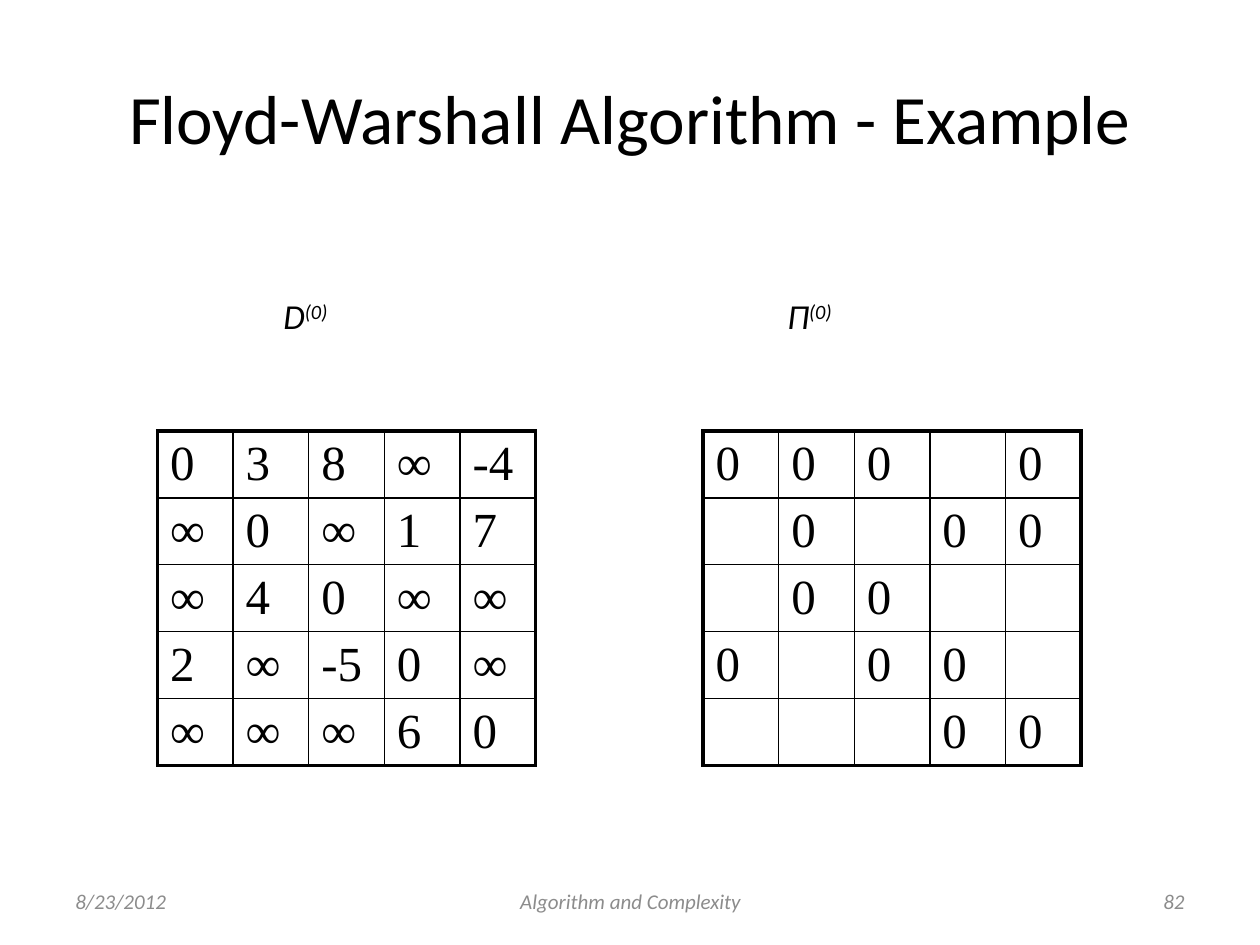
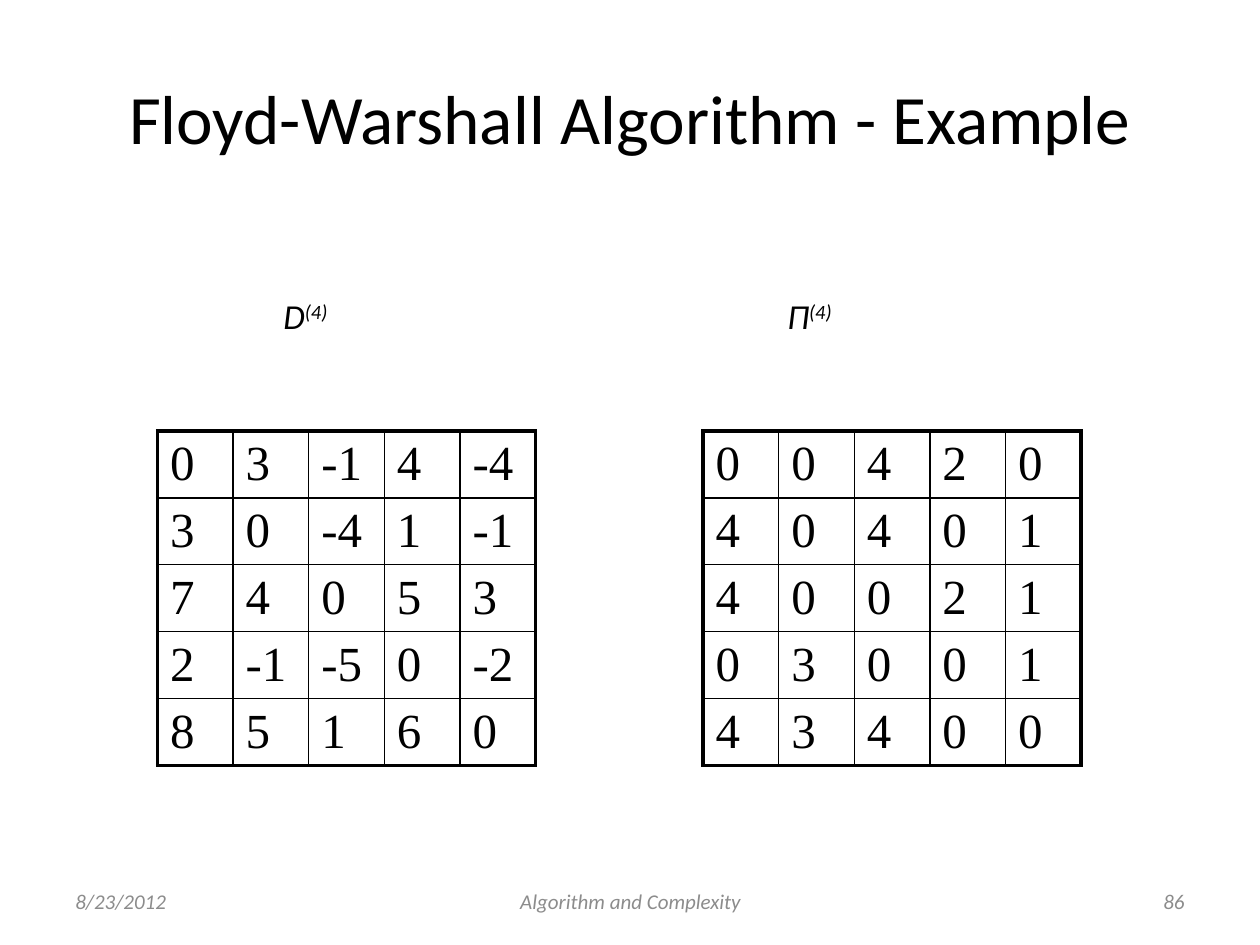
import pptx
import pptx.dml.color
import pptx.enum.text
import pptx.util
from lxml import etree
from pptx.oxml.ns import qn

Inches = pptx.util.Inches
ALIGN = pptx.enum.text.PP_ALIGN
MIDDLE = pptx.enum.text.MSO_ANCHOR.MIDDLE

# Shared style
BLACK, GREY = "000000", "8C8C8C"
SANS, SERIF = "Calibri", "Times New Roman"
TITLE = "Floyd-Warshall Algorithm - Example"
DATE, COURSE = "8/23/2012", "Algorithm and Complexity"
CELL_W, CELL_H = 0.6, 0.53
THIN, THICK = 1, 2.25

# Per slide: step, page number, distance rows, predecessor rows ("." is blank)
STEPS = [
    (0, 82,
     ["0 3 8 ∞ -4", "∞ 0 ∞ 1 7", "∞ 4 0 ∞ ∞", "2 ∞ -5 0 ∞", "∞ ∞ ∞ 6 0"],
     ["0 0 0 . 0", ". 0 . 0 0", ". 0 0 . .", "0 . 0 0 .", ". . . 0 0"]),
    (4, 86,
     ["0 3 -1 4 -4", "3 0 -4 1 -1", "7 4 0 5 3", "2 -1 -5 0 -2", "8 5 1 6 0"],
     ["0 0 4 2 0", "4 0 4 0 1", "4 0 0 2 1", "0 3 0 0 1", "4 3 4 0 0"]),
]


def color(code):
    return pptx.dml.color.RGBColor.from_string(code)


def write(frame, text, size=20, font=SANS, ink=BLACK, italic=False,
          align=ALIGN.LEFT, tabs=()):
    """Fill a text frame; text is a string or a list of (string, raised) runs."""
    para = frame.paragraphs[0]
    para.alignment = align
    if tabs:
        stops = etree.SubElement(para._p.get_or_add_pPr(), qn("a:tabLst"))
        for pos in tabs:
            etree.SubElement(stops, qn("a:tab"), pos=str(Inches(pos)), algn="l")
    for part, raised in [(text, False)] if isinstance(text, str) else text:
        run = para.add_run()
        run.text = part
        run.font.size = pptx.util.Pt(size)
        run.font.name = font
        run.font.italic = italic
        run.font.color.rgb = color(ink)
        if raised:
            run._r.get_or_add_rPr().set("baseline", "30000")


def place(shape, left, top, width, height):
    shape.left, shape.top = Inches(left), Inches(top)
    shape.width, shape.height = Inches(width), Inches(height)


def add_text(slide, text, left, top, width, height, anchor=None, **style):
    box = slide.shapes.add_textbox(
        Inches(left), Inches(top), Inches(width), Inches(height))
    box.text_frame.word_wrap = True
    if anchor is not None:
        box.text_frame.vertical_anchor = anchor
    write(box.text_frame, text, **style)


def add_title(slide):
    title = slide.shapes.title
    place(title, 0.5, 0.3, 9, 1.25)
    title.text_frame.vertical_anchor = MIDDLE
    write(title.text_frame, TITLE, size=39.6, align=ALIGN.CENTER)


def add_foot(slide, page):
    for text, left, width, align in [
            (DATE, 0.5, 2.33, ALIGN.LEFT),
            (COURSE, 3.42, 3.17, ALIGN.CENTER),
            (str(page), 7.17, 2.33, ALIGN.RIGHT)]:
        add_text(slide, text, left, 6.95, width, 0.4, anchor=MIDDLE,
                 size=12, ink=GREY, italic=True, align=align)


def add_heads(slide, step):
    sup = f"({step})"
    runs = [("\tD", False), (sup, True), ("\tΠ", False), (sup, True)]
    add_text(slide, runs, 1.15, 2.29, 5.73, 0.5, italic=True, tabs=(1, 5))


def rule(cell, side, width):
    line = etree.SubElement(cell._tc.get_or_add_tcPr(), qn("a:ln" + side),
                            w=str(pptx.util.Pt(width)))
    fill = etree.SubElement(line, qn("a:solidFill"))
    etree.SubElement(fill, qn("a:srgbClr"), val=BLACK)


def add_grid(slide, rows, left):
    """Draw a square matrix with thin inner rules and a thick frame."""
    size = len(rows)
    grid = slide.shapes.add_table(
        size, size, Inches(left), Inches(3.42),
        Inches(size * CELL_W), Inches(size * CELL_H)).table
    grid.first_row = grid.horz_banding = False
    for r, row in enumerate(rows):
        for c, value in enumerate(row.split()):
            cell = grid.cell(r, c)
            edges = {"L": c == 0, "R": c == size - 1,
                     "T": r == 0, "B": r == size - 1}
            for side, outer in edges.items():
                rule(cell, side, THICK if outer else THIN)
            cell.fill.background()
            if value != ".":
                write(cell.text_frame, value, size=28, font=SERIF)


def main():
    deck = pptx.Presentation()
    deck.slide_width, deck.slide_height = Inches(10), Inches(7.5)
    for step, page, dist, pred in STEPS:
        slide = deck.slides.add_slide(deck.slide_layouts[5])
        add_title(slide)
        add_grid(slide, dist, 1.25)
        add_grid(slide, pred, 5.58)
        add_heads(slide, step)
        add_foot(slide, page)
    deck.save("out.pptx")


if __name__ == "__main__":
    main()
